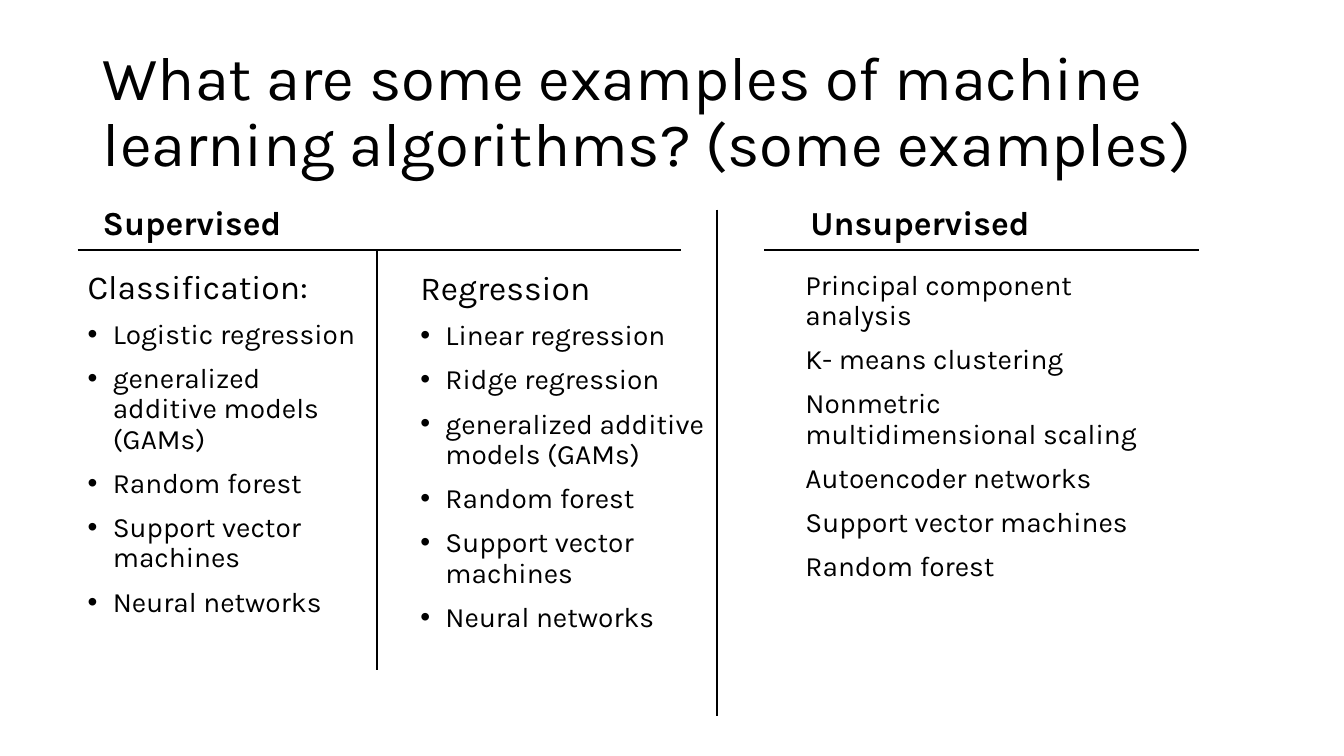
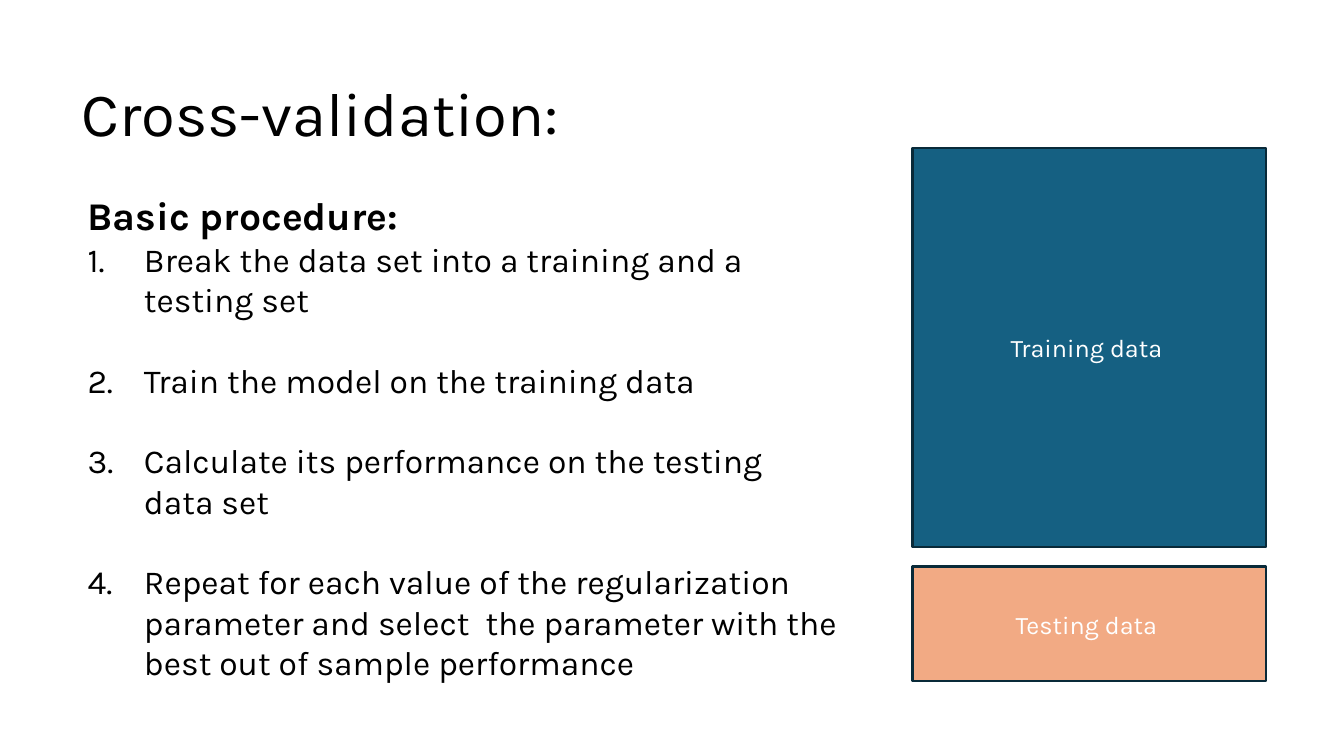
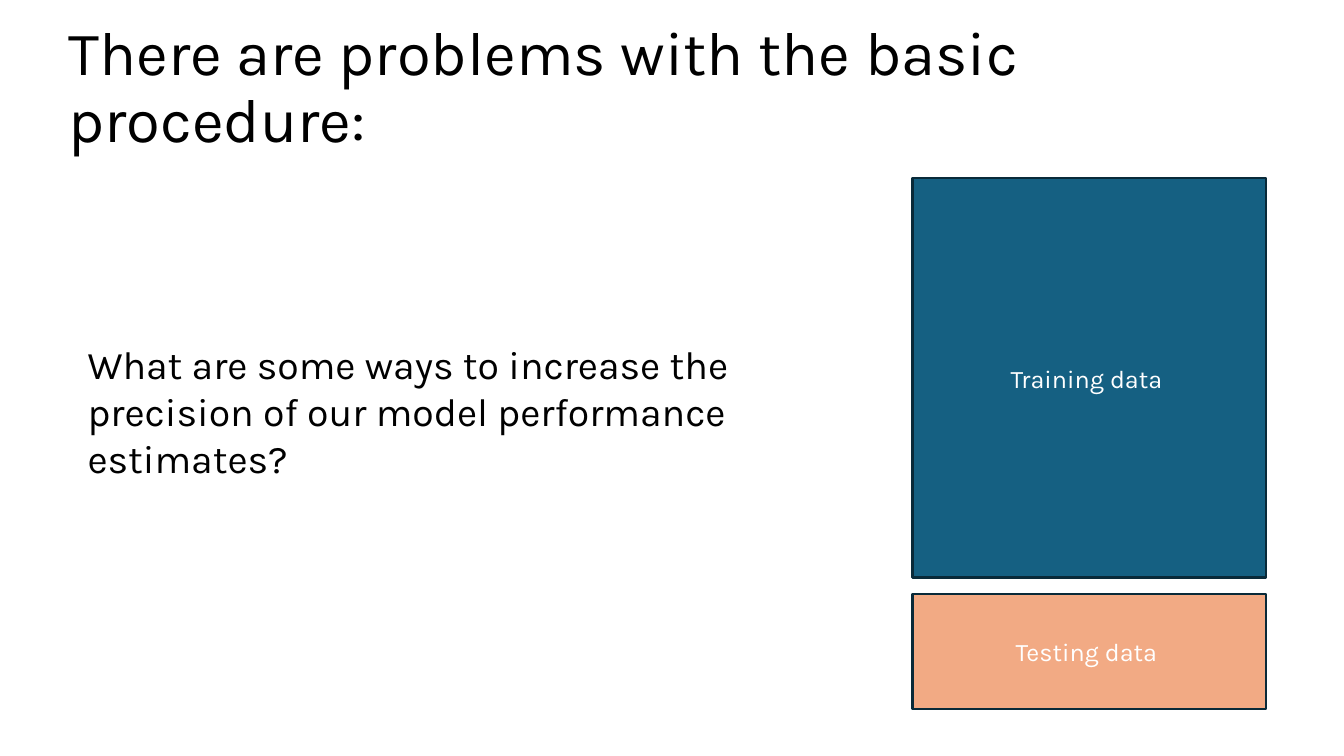
import lxml.etree
import pptx
import pptx.dml.color
import pptx.enum.shapes
import pptx.enum.text
import pptx.oxml.ns
import pptx.util

EMU_PER_PX = 9144  # 100 px to the inch
ALIGN = pptx.enum.text.PP_ALIGN
ANCHOR = pptx.enum.text.MSO_ANCHOR


def px(length):
    return pptx.util.Emu(length * EMU_PER_PX)


def rgb(code):
    return pptx.dml.color.RGBColor.from_string(code)


def add_element(parent, tag, **attributes):
    return lxml.etree.SubElement(parent, pptx.oxml.ns.qn(tag), attributes)


class Deck:
    FONT = "Karla"
    INK = "000000"
    WHITE = "FFFFFF"
    TRAINING = "156082"
    TESTING = "F2AA84"
    OUTLINE = "092A39"
    LINE_WIDTH = 1.5
    TITLE_SIZE = 44
    TITLE_HEIGHT = 145
    TIGHT = 0.9

    def __init__(self):
        self.show = pptx.Presentation()
        self.show.slide_width, self.show.slide_height = px(1333), px(750)
        self.page = None

    def place(self, shape, left, top, width, height):
        shape.left, shape.top = px(left), px(top)
        shape.width, shape.height = px(width), px(height)

    def add_span(self, para, text, size, color=INK, bold=False):
        span = para.add_run()
        span.text = text
        span.font.name = self.FONT
        span.font.size = pptx.util.Pt(size)
        span.font.bold = bold
        span.font.color.rgb = rgb(color)

    def new_page(self, title, left, top, width):
        """Add a page with its title."""
        self.page = self.show.slides.add_slide(self.show.slide_layouts[5])
        box = self.page.shapes.title
        self.place(box, left, top, width, self.TITLE_HEIGHT)
        frame = box.text_frame
        frame.auto_size = pptx.enum.text.MSO_AUTO_SIZE.NONE
        frame.vertical_anchor = ANCHOR.MIDDLE
        para = frame.paragraphs[0]
        para.alignment = ALIGN.LEFT
        para.line_spacing = self.TIGHT
        self.add_span(para, title, self.TITLE_SIZE)

    def text(self, left, top, width, height):
        """Add an empty text box and return its frame."""
        box = self.page.shapes.add_textbox(px(left), px(top), px(width), px(height))
        box.text_frame.word_wrap = True
        return box.text_frame

    def para(self, frame, text, size, bold=False, before=0, spacing=1.0,
             marker=None, indent=0):
        """Add a paragraph; marker is "bullet", "number" or None."""
        para = frame.paragraphs[0]
        if para.runs:
            para = frame.add_paragraph()
            para.space_before = pptx.util.Pt(before)
        para.line_spacing = spacing
        if marker:
            properties = para._p.get_or_add_pPr()
            properties.set("marL", str(px(indent)))
            properties.set("indent", str(-px(indent)))
            if marker == "bullet":
                add_element(properties, "a:buFont", typeface="Arial")
                add_element(properties, "a:buChar", char="•")
            else:
                add_element(properties, "a:buFont", typeface="+mj-lt")
                add_element(properties, "a:buAutoNum", type="arabicPeriod")
        self.add_span(para, text, size, bold=bold)

    def column(self, left, top, width, height, items, heading=None, bold=False,
               marker=None):
        """Add a heading with a list under it, tightly set."""
        frame = self.text(left, top, width, height)
        if heading:
            self.para(frame, heading, 24, bold=bold, spacing=self.TIGHT)
        for item in items:
            self.para(frame, item, 20, before=10, spacing=self.TIGHT,
                      marker=marker, indent=25)

    def line(self, x1, y1, x2, y2):
        rule = self.page.shapes.add_connector(
            pptx.enum.shapes.MSO_CONNECTOR.STRAIGHT, px(x1), px(y1), px(x2), px(y2))
        rule.line.color.rgb = rgb(self.INK)
        rule.line.width = pptx.util.Pt(self.LINE_WIDTH)
        add_element(rule._element.spPr, "a:effectLst")

    def block(self, label, fill, left, top, width, height):
        """Add a filled rectangle with a centred label."""
        box = self.page.shapes.add_shape(
            pptx.enum.shapes.MSO_SHAPE.RECTANGLE,
            px(left), px(top), px(width), px(height))
        box.shadow.inherit = False
        box.fill.solid()
        box.fill.fore_color.rgb = rgb(fill)
        box.line.color.rgb = rgb(self.OUTLINE)
        box.line.width = pptx.util.Pt(self.LINE_WIDTH)
        box.text_frame.vertical_anchor = ANCHOR.MIDDLE
        para = box.text_frame.paragraphs[0]
        para.alignment = ALIGN.CENTER
        self.add_span(para, label, 18, self.WHITE)

    def data_split(self, training_top, testing_top):
        """Show the data set as a training block over a testing block."""
        self.block("Training data ", self.TRAINING, 905, training_top, 351, 396)
        self.block("Testing data ", self.TESTING, 905, testing_top, 351, 114)


def algorithms(deck):
    deck.new_page("What are some examples of machine learning algorithms? "
                  "(some examples)", 92, 40, 1150)

    # Group headings
    deck.column(92, 200, 518, 63, [], "Supervised", bold=True)
    deck.column(794, 200, 405, 63, [], "Unsupervised", bold=True)

    # Lists of algorithms
    shared = ["generalized additive models (GAMs)", "Random forest",
              "Support vector machines", "Neural networks"]
    deck.column(77, 263, 295, 430, ["Logistic regression"] + shared,
                "Classification:", marker="bullet")
    deck.column(407, 264, 330, 446,
                ["Linear regression", "Ridge regression"] + shared,
                "Regression", marker="bullet")
    deck.column(789, 264, 370, 446, [
        "Principal component analysis", "K- means clustering",
        "Nonmetric multidimensional scaling", "Autoencoder networks",
        "Support vector machines", "Random forest"])

    # Dividing rules
    heading_rule = 248
    deck.line(711, 208, 711, 710)
    deck.line(77, heading_rule, 675, heading_rule)
    deck.line(374, heading_rule, 374, 665)
    deck.line(758, heading_rule, 1189, heading_rule)


def cross_validation(deck):
    deck.new_page("Cross-validation:", 71, 43, 1198)
    deck.data_split(147, 562)

    # Numbered procedure, one line apart
    frame = deck.text(77, 185, 764, 542)
    deck.para(frame, "Basic procedure:", 28, bold=True)
    steps = [
        "Break the data set into a training and a testing set",
        "Train the model on the training data",
        "Calculate its performance on the testing data set",
        "Repeat for each value of the regularization parameter and select  "
        "the parameter with the best out of sample performance"]
    for index, step in enumerate(steps):
        deck.para(frame, step, 24, before=28.8 if index else 0,
                  marker="number", indent=56)


def problems(deck):
    deck.new_page("There are problems with the basic procedure:", 58, 16, 1198)
    deck.data_split(177, 589)

    # Question
    frame = deck.text(77, 333, 804, 150)
    deck.para(frame, "What are some ways to increase the precision of our model "
                     "performance estimates?", 28)


def main():
    deck = Deck()
    algorithms(deck)
    cross_validation(deck)
    problems(deck)
    deck.show.save("out.pptx")


if __name__ == "__main__":
    main()
